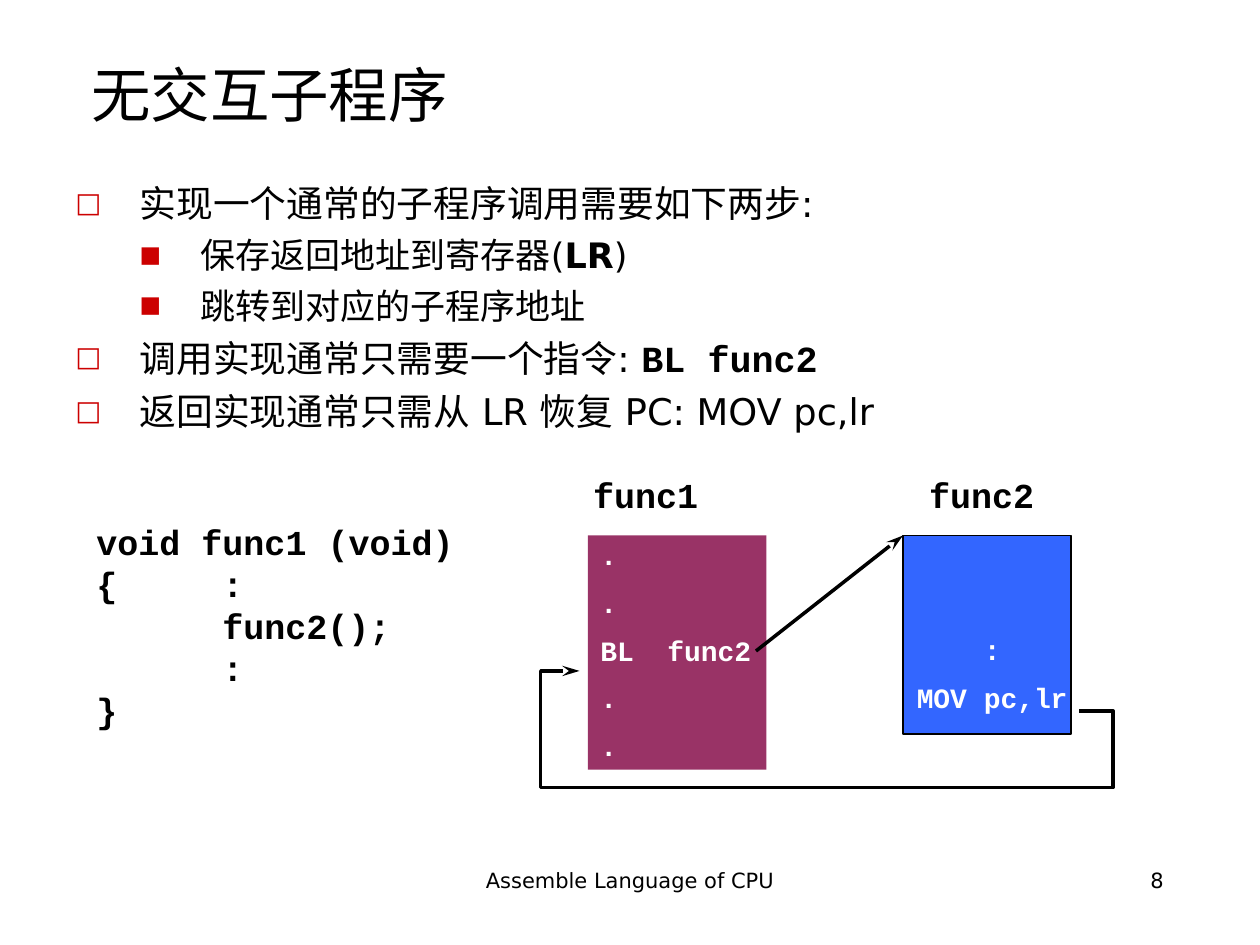
"""Build the slide on subroutine calls."""
from dataclasses import dataclass

import lxml.etree
import pptx
import pptx.dml.color
import pptx.enum.shapes
import pptx.enum.text
import pptx.oxml.ns
import pptx.util

ALIGN = pptx.enum.text.PP_ALIGN
ANCHOR = pptx.enum.text.MSO_ANCHOR


@dataclass(frozen=True)
class Theme:
    """Colours, fonts and type sizes of the slide."""
    ink: str = "000000"
    paper: str = "FFFFFF"
    accent: str = "CC0000"
    caller: str = "993366"
    callee: str = "3366FF"
    sans: str = "DejaVu Sans"
    mono: str = "Courier New"
    title: int = 34
    body: int = 21
    code: int = 20
    block: int = 16
    footer: int = 12


T = Theme()
COLUMNS, ROWS = 120, 90
WIDTH, HEIGHT = pptx.util.Inches(10), pptx.util.Inches(7.5)
BULLETS = {0: ("□", 75, 0.51, 0.51), 1: ("■", 65, 0.99, 0.48)}


def grid(*cells):
    """Turn alternating column and row counts into lengths."""
    units = (WIDTH / COLUMNS, HEIGHT / ROWS)
    return [round(n * units[i % 2]) for i, n in enumerate(cells)]


def rgb(value):
    """Read a colour from its hex code."""
    return pptx.dml.color.RGBColor.from_string(value)


def sub(parent, tag, **attrs):
    """Append a DrawingML element."""
    el = lxml.etree.SubElement(parent, pptx.oxml.ns.qn(tag))
    for name, value in attrs.items():
        el.set(name, str(value))
    return el


def add_run(p, text, size=T.code, font=T.mono, color=T.ink, bold=False):
    """Add formatted text to a paragraph."""
    r = p.add_run()
    r.text = text
    r.font.size = pptx.util.Pt(size)
    r.font.name = font
    r.font.bold = bold
    r.font.color.rgb = rgb(color)
    sub(r.font._element, "a:ea", typeface=font)


def add_bullet(p, level):
    """Give a paragraph the bullet and indent of its level."""
    char, percent, margin, hanging = BULLETS[level]
    p.level = level
    pPr = p._p.get_or_add_pPr()
    pPr.set("marL", str(pptx.util.Inches(margin)))
    pPr.set("indent", str(-pptx.util.Inches(hanging)))
    sub(sub(pPr, "a:buClr"), "a:srgbClr", val=T.accent)
    sub(pPr, "a:buSzPct", val=percent * 1000)
    sub(pPr, "a:buFont", typeface=T.sans)
    sub(pPr, "a:buChar", char=char)


def write_lines(tf, lines, align=ALIGN.LEFT, before=0, spacing=None, tab=None, **fmt):
    """Write one paragraph for each line."""
    for i, line in enumerate(lines):
        p = tf.add_paragraph() if i else tf.paragraphs[0]
        if tab:
            tabs = sub(p._p.get_or_add_pPr(), "a:tabLst")
            sub(tabs, "a:tab", pos=pptx.util.Inches(tab), algn="l")
        p.alignment = align
        p.line_spacing = spacing
        p.space_before = pptx.util.Pt(before if i else 0)
        add_run(p, line, **fmt)


def add_text(s, cells, lines, anchor=ANCHOR.TOP, wrap=True, **fmt):
    """Add a text box."""
    tf = s.shapes.add_textbox(*grid(*cells)).text_frame
    tf.word_wrap = wrap
    tf.vertical_anchor = anchor
    write_lines(tf, lines, **fmt)


def add_body(s, cells, items):
    """Add the bulleted list of (level, size, runs) items."""
    tf = s.shapes.add_textbox(*grid(*cells)).text_frame
    tf.word_wrap = True
    for i, (level, size, runs) in enumerate(items):
        p = tf.add_paragraph() if i else tf.paragraphs[0]
        add_bullet(p, level)
        p.space_before = pptx.util.Pt(size / 4 if i else 0)
        for text, fmt in runs:
            add_run(p, text, **{"size": size, "font": T.sans, **fmt})


def add_block(s, cells, fill, line=None):
    """Add a filled rectangle for a routine."""
    sp = s.shapes.add_shape(pptx.enum.shapes.MSO_SHAPE.RECTANGLE, *grid(*cells))
    sp.shadow.inherit = False
    sp.fill.solid()
    sp.fill.fore_color.rgb = rgb(fill)
    if line:
        sp.line.color.rgb = rgb(line)
        sp.line.width = pptx.util.Pt(1)
    else:
        sp.line.fill.background()
    sp.text_frame.word_wrap = True
    sp.text_frame.vertical_anchor = ANCHOR.TOP
    return sp


def style_arrow(line):
    """Draw a line in ink with a long stealth arrowhead at its end."""
    line.color.rgb = rgb(T.ink)
    line.width = pptx.util.Pt(2)
    sub(line._get_or_add_ln(), "a:tailEnd", type="stealth", w="med", len="lg")


def add_arrow(s, *cells):
    """Add a straight arrow."""
    cxn = s.shapes.add_connector(pptx.enum.shapes.MSO_CONNECTOR.STRAIGHT, *grid(*cells))
    style_arrow(cxn.line)
    sub(cxn._element.spPr, "a:effectLst")


def add_bent_arrow(s, points):
    """Add an arrow through several grid points."""
    start, *rest = [grid(*point) for point in points]
    fb = s.shapes.build_freeform(*start)
    fb.add_line_segments(rest, close=False)
    sp = fb.convert_to_shape()
    sp.shadow.inherit = False
    sp.fill.background()
    style_arrow(sp.line)


def main():
    """Build and save the slide."""
    prs = pptx.Presentation()
    prs.slide_width, prs.slide_height = WIDTH, HEIGHT
    s = prs.slides.add_slide(prs.slide_layouts[6])
    sans = {"font": T.sans}
    bold = {"bold": True}
    footer = {"size": T.footer, **sans}
    block = {"size": T.block, "color": T.paper, "before": 10, "spacing": 0.9, **bold}

    add_text(s, (41, 82, 38, 6.25), ["Assemble Language of CPU"], align=ALIGN.CENTER, **footer)
    add_text(s, (86, 82, 26, 6.25), ["8"], align=ALIGN.RIGHT, **footer)
    add_text(s, (7.5, 4, 105, 8.9), ["无交互子程序"], anchor=ANCHOR.BOTTOM, size=T.title, **sans)
    add_body(s, (6, 16.6, 108, 27.5), [
        (0, T.body, [("实现一个通常的子程序调用需要如下两步:", {})]),
        (1, T.code, [("保存返回地址到寄存器(", {}), ("LR", bold), (")", {})]),
        (1, T.code, [("跳转到对应的子程序地址", {})]),
        (0, T.body, [("调用实现通常只需要一个指令: ", {}),
                     ("BL func2", {"font": T.mono, **bold})]),
        (0, T.body, [("返回实现通常只需从 LR 恢复 PC: MOV pc,lr", {})]),
    ])

    caller = add_block(s, (56, 51, 17, 22.3), T.caller)
    write_lines(caller.text_frame, [".", ".", "BL  func2", ".", "."], **block)
    add_bent_arrow(s, [(102.8, 67.7), (106, 67.7), (106, 75),
                       (51.5, 75), (51.5, 63.9), (55.2, 63.9)])
    add_block(s, (86, 51, 16, 18.9), T.callee, T.ink)
    add_text(s, (86, 60, 17, 8.6), [":", "MOV pc,lr"], align=ALIGN.CENTER, **block)
    for column, name in ((54, "func1"), (86, "func2")):
        add_text(s, (column, 45, 15, 4.8), [name], align=ALIGN.CENTER, spacing=0.9, **bold)
    add_arrow(s, 72, 62, 86, 51)
    add_text(s, (8, 49, 36.5, 21.2),
             ["void func1 (void)", "{\t:", "\tfunc2();", "\t:", "}"],
             anchor=ANCHOR.MIDDLE, wrap=False, tab=1, **bold)
    prs.save("out.pptx")


if __name__ == "__main__":
    main()
